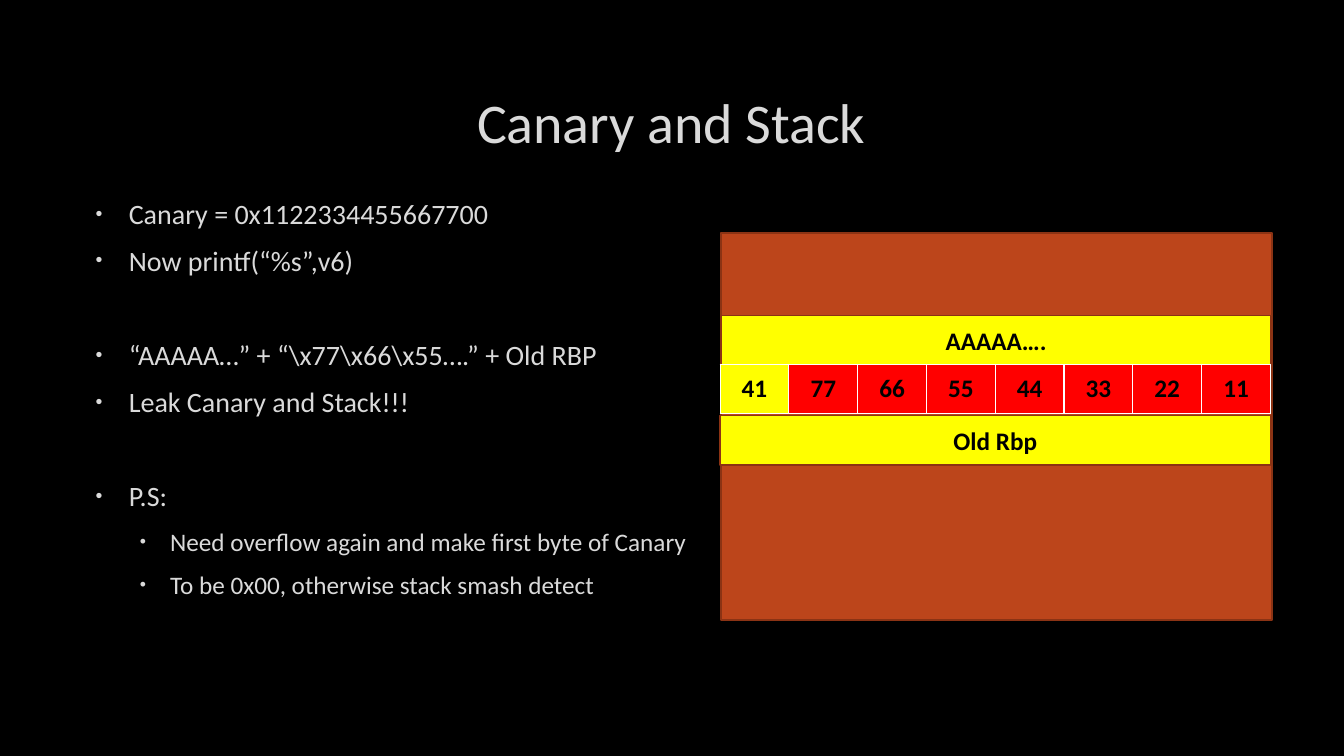
from lxml.etree import SubElement as add_element
from pptx import Presentation
from pptx.dml.color import RGBColor
from pptx.enum.shapes import MSO_SHAPE as SHAPE
from pptx.enum.text import MSO_ANCHOR as ANCHOR, PP_ALIGN as ALIGN
from pptx.oxml.ns import qn
from pptx.util import Inches, Pt

COLORS = {
    "background": "000000",
    "light": "DADADA",
    "dark": "000000",
    "stack": "BC451B",
    "edge": "8B3314",
    "known": "FFFF00",
    "canary": "FF0000",
    "rule": "FFFFFF",
}


def color(name):
    return RGBColor.from_string(COLORS[name])


class StackSlide:
    """Holds the style and the page; places are percentages of the slide's size."""

    font = "Calibri"
    levels = [(20, 0.38, -0.33), (18, 0.79, -0.3)]  # size, margin, indent
    before, after, group_gap = 3.5, 6, 37.4

    def __init__(self, deck):
        self.deck = deck
        self.page = deck.slides.add_slide(deck.slide_layouts[6])
        fill = self.page.background.fill
        fill.solid()
        fill.fore_color.rgb = color("background")

    def place(self, left, top, width, height):
        wide, high = self.deck.slide_width, self.deck.slide_height
        return [int(share * side / 100) for share, side in
                ((left, wide), (top, high), (width, wide), (height, high))]

    def style(self, para, size, ink, bold=False):
        para.font.name, para.font.size, para.font.bold = self.font, Pt(size), bold
        para.font.color.rgb = color(ink)

    def centre(self, frame, text, size, ink, bold=False):
        frame.text = text
        para = frame.paragraphs[0]
        para.alignment = ALIGN.CENTER
        self.style(para, size, ink, bold)

    def title(self, text, *area):
        frame = self.page.shapes.add_textbox(*self.place(*area)).text_frame
        frame.word_wrap = True
        frame.vertical_anchor = ANCHOR.MIDDLE
        self.centre(frame, text, 40, "light")

    def bullets(self, groups, *area):
        frame = self.page.shapes.add_textbox(*self.place(*area)).text_frame
        frame.word_wrap = True
        para = frame.paragraphs[0]
        for group_index, group in enumerate(groups):
            for index, (level, text) in enumerate(group):
                if group_index or index:
                    para = frame.add_paragraph()
                opens_group = group_index and not index
                size, margin, indent = self.levels[level]
                para.text, para.level = text, level
                para.space_before = Pt(self.group_gap if opens_group else self.before)
                para.space_after = Pt(self.after)
                self.style(para, size, "light")
                self.bullet(para, margin, indent)

    def bullet(self, para, margin, indent):
        props = para._p.get_or_add_pPr()
        props.set("marL", str(Inches(margin)))
        props.set("indent", str(Inches(indent)))
        marks = [add_element(props, qn("a:buClr")),
                 add_element(props, qn("a:buSzPct"), val="70000"),
                 add_element(props, qn("a:buFont"), typeface="Arial"),
                 add_element(props, qn("a:buChar"), char="•")]
        add_element(marks[0], qn("a:srgbClr"), val=COLORS["light"])
        # Bullet marks must precede the paragraph's default run style
        default = props.find(qn("a:defRPr"))
        if default is not None:
            props.append(default)

    def block(self, fill, *area, text=""):
        box = self.page.shapes.add_shape(SHAPE.RECTANGLE, *self.place(*area))
        box.shadow.inherit = False
        box.fill.solid()
        box.fill.fore_color.rgb = color(fill)
        box.line.color.rgb = color("edge")
        box.line.width = Pt(1.25)
        if text:
            box.text_frame.vertical_anchor = ANCHOR.MIDDLE
            self.centre(box.text_frame, text, 18, "dark", bold=True)

    def byte_row(self, values, fills, *area):
        table = self.page.shapes.add_table(1, len(values), *self.place(*area)).table
        table.first_row = table.horz_banding = False
        for cell, value, fill in zip(table.rows[0].cells, values, fills):
            cell.vertical_anchor = ANCHOR.MIDDLE
            self.centre(cell.text_frame, value, 18, "dark", bold=True)
            self.borders(cell)
            cell.fill.solid()
            cell.fill.fore_color.rgb = color(fill)

    def borders(self, cell):
        props = cell._tc.get_or_add_tcPr()
        for side in ("lnL", "lnR", "lnT", "lnB"):
            line = add_element(props, qn(f"a:{side}"), w=str(Pt(1)))
            paint = add_element(line, qn("a:solidFill"))
            add_element(paint, qn("a:srgbClr"), val=COLORS["rule"])


def main():
    deck = Presentation()
    deck.slide_width, deck.slide_height = Inches(13.33), Inches(7.5)
    slide = StackSlide(deck)

    # Title and explanation
    slide.title("Canary and Stack", 7.5, 8.93, 84.9, 14.13)
    slide.bullets([
        [(0, "Canary = 0x1122334455667700"),
         (0, "Now printf(“%s”,v6)")],
        [(0, r"“AAAAA…” + “\x77\x66\x55….” + Old RBP"),
         (0, "Leak Canary and Stack!!!")],
        [(0, "P.S:"),
         (1, "Need overflow again and make first byte of Canary"),
         (1, "To be 0x00, otherwise stack smash detect")],
    ], 6, 25.33, 84.9, 59.2)

    # Stack memory, with the canary bytes between buffer and saved pointer
    left, width, height = 53.58, 40.95, 6.53
    slide.block("stack", 53.64, 30.8, 41.03, 51.2)
    slide.block("known", 53.64, 41.73, width, height, text="AAAAA….")
    slide.byte_row("41 77 66 55 44 33 22 11".split(), ["known"] + ["canary"] * 7,
                   left, 48.17, width, height)
    slide.block("known", left, 54.96, width, height, text="Old Rbp")

    deck.save("out.pptx")


if __name__ == "__main__":
    main()
